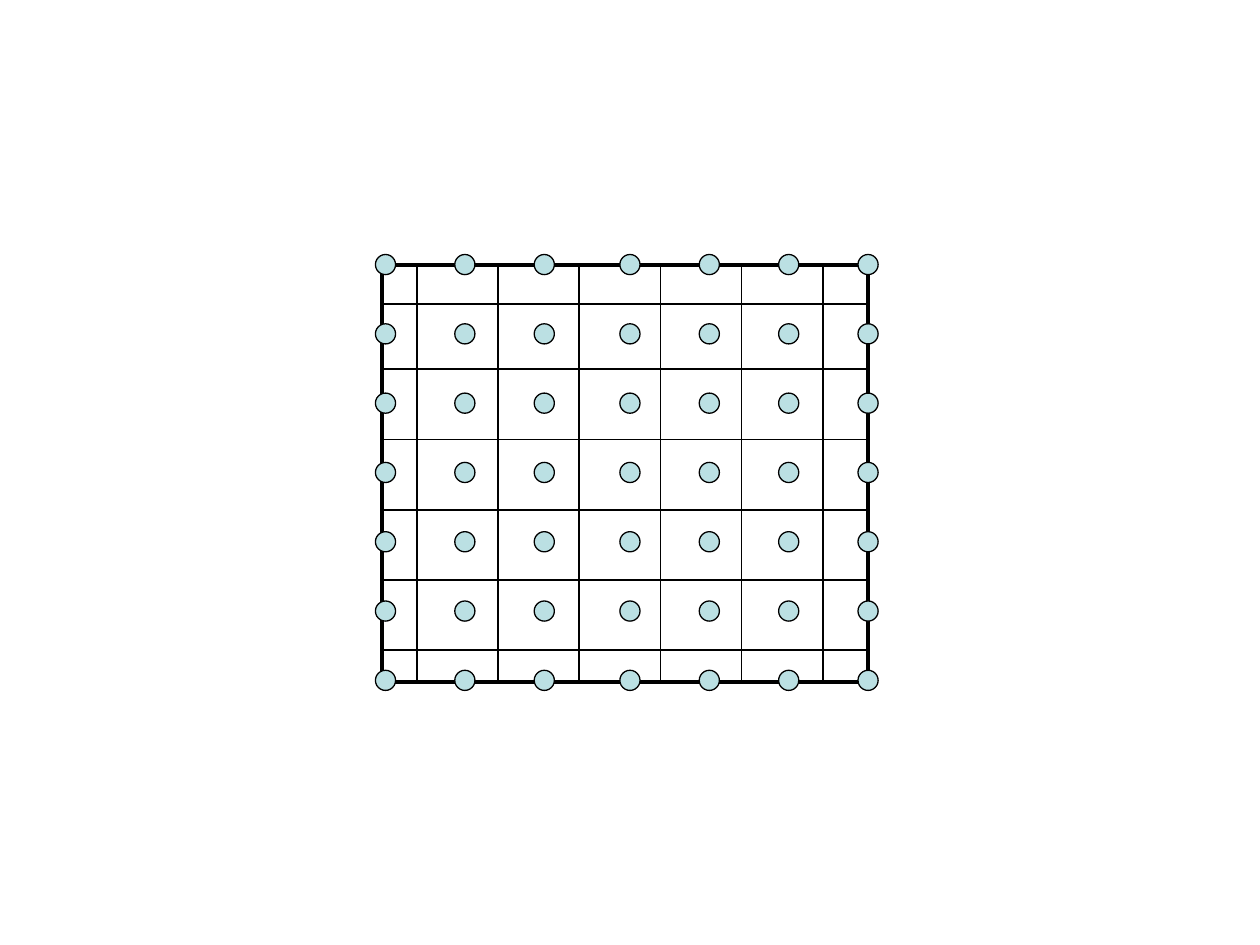
from dataclasses import dataclass
from itertools import product
from lxml.etree import SubElement
from pptx import Presentation
from pptx.dml.color import RGBColor
from pptx.enum.shapes import MSO_CONNECTOR, MSO_SHAPE
from pptx.oxml.ns import qn
from pptx.util import Inches, Pt


@dataclass(frozen=True)
class Theme:
    ink: str = "000000"
    paper: str = "FFFFFF"
    dot: str = "BBE0E3"
    frame: float = 2.25
    rule: float = 1
    rim: float = 0.75


@dataclass(frozen=True)
class Box:
    left: int
    top: int
    width: int
    height: int


THEME = Theme()
WIDE, HIGH = Inches(10), Inches(7.5)
COLS, ROWS = 1000, 750
DOT = 16


def across(col):
    return round(WIDE * col / COLS)


def down(row):
    return round(HIGH * row / ROWS)


def stroke(part, weight):
    part.line.color.rgb = RGBColor.from_string(THEME.ink)
    for name, value in {"width": Pt(weight)}.items():
        setattr(part.line, name, value)


def draw(group, kind, box, fill, weight):
    part = group.shapes.add_shape(
        kind, across(box.left), down(box.top), across(box.width), down(box.height))
    part.shadow.inherit = False
    part.fill.solid()
    part.fill.fore_color.rgb = RGBColor.from_string(fill)
    stroke(part, weight)


def rule(group, left, top, right, base):
    line = group.shapes.add_connector(
        MSO_CONNECTOR.STRAIGHT, across(left), down(top), across(right), down(base))
    stroke(line, THEME.rule)
    SubElement(line._element.spPr, qn("a:effectLst"))


def dots(group, box):
    cols = [3 + 63 * i + (5 if i > 2 else 0) for i in range(7)]
    rows = [55 * j for j in range(7)]
    for row, col in product(rows, cols):
        spot = Box(box.left + col - DOT / 2, box.top + row - DOT / 2, DOT, DOT)
        draw(group, MSO_SHAPE.OVAL, spot, THEME.dot, THEME.rim)


def rules(group, box):
    right = box.left + box.width
    for row in [31] + [83 + 223 * i / 4 for i in range(5)]:
        rule(group, box.left, box.top + row, right, box.top + row)
    top = box.top - 1
    for col in [28 + 322 * i / 5 for i in range(6)]:
        rule(group, box.left + col, top, box.left + col, top + box.height)


def mesh(slide, box):
    group = slide.shapes.add_group_shape()
    draw(group, MSO_SHAPE.RECTANGLE, box, THEME.paper, THEME.frame)
    dots(group, box)
    rules(group, box)


def main():
    deck = Presentation()
    for name, value in {"slide_width": WIDE, "slide_height": HIGH}.items():
        setattr(deck, name, value)
    slide = deck.slides.add_slide(deck.slide_layouts[6])
    mesh(slide, Box(303, 210, 386, 331))
    deck.save("out.pptx")


main()
